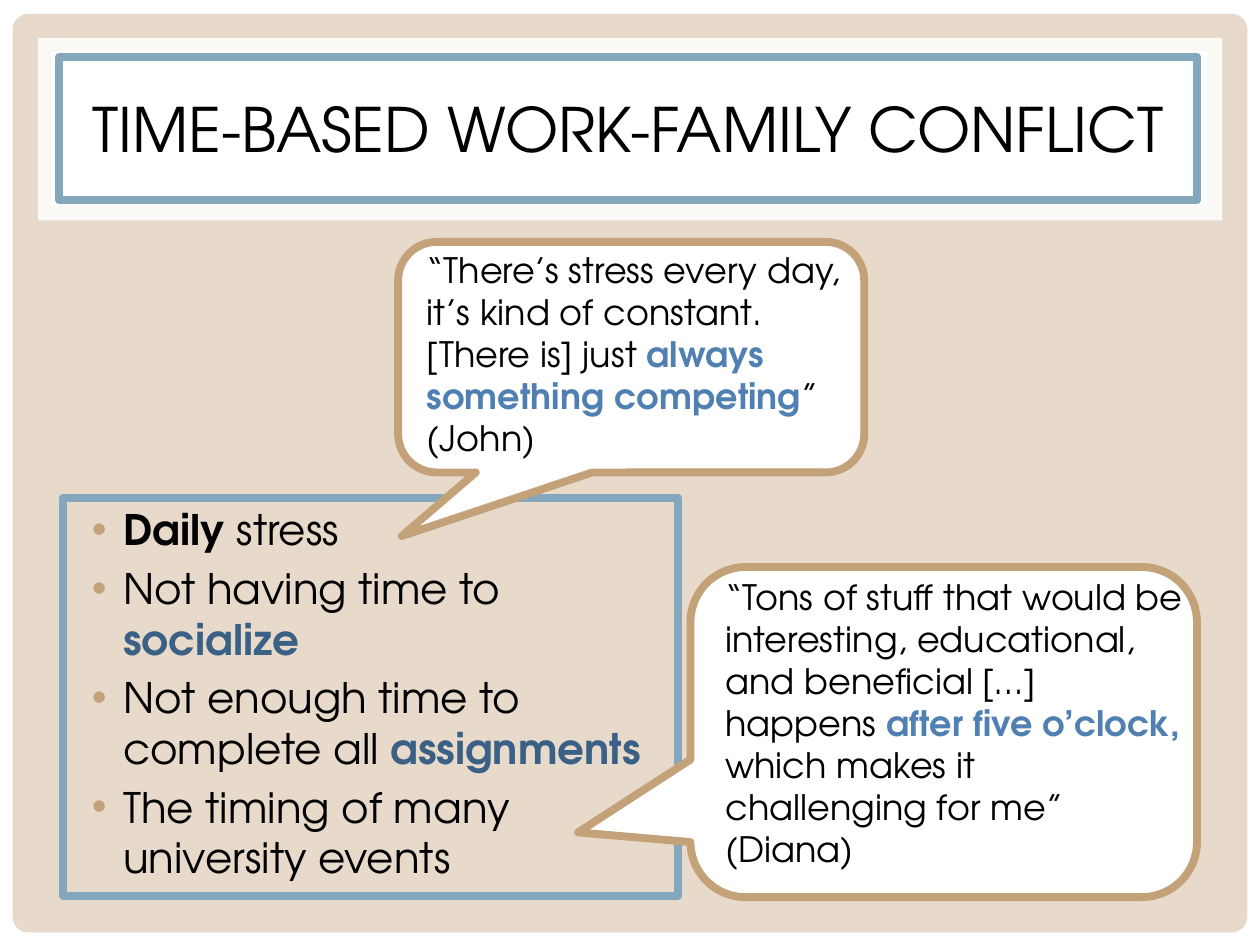
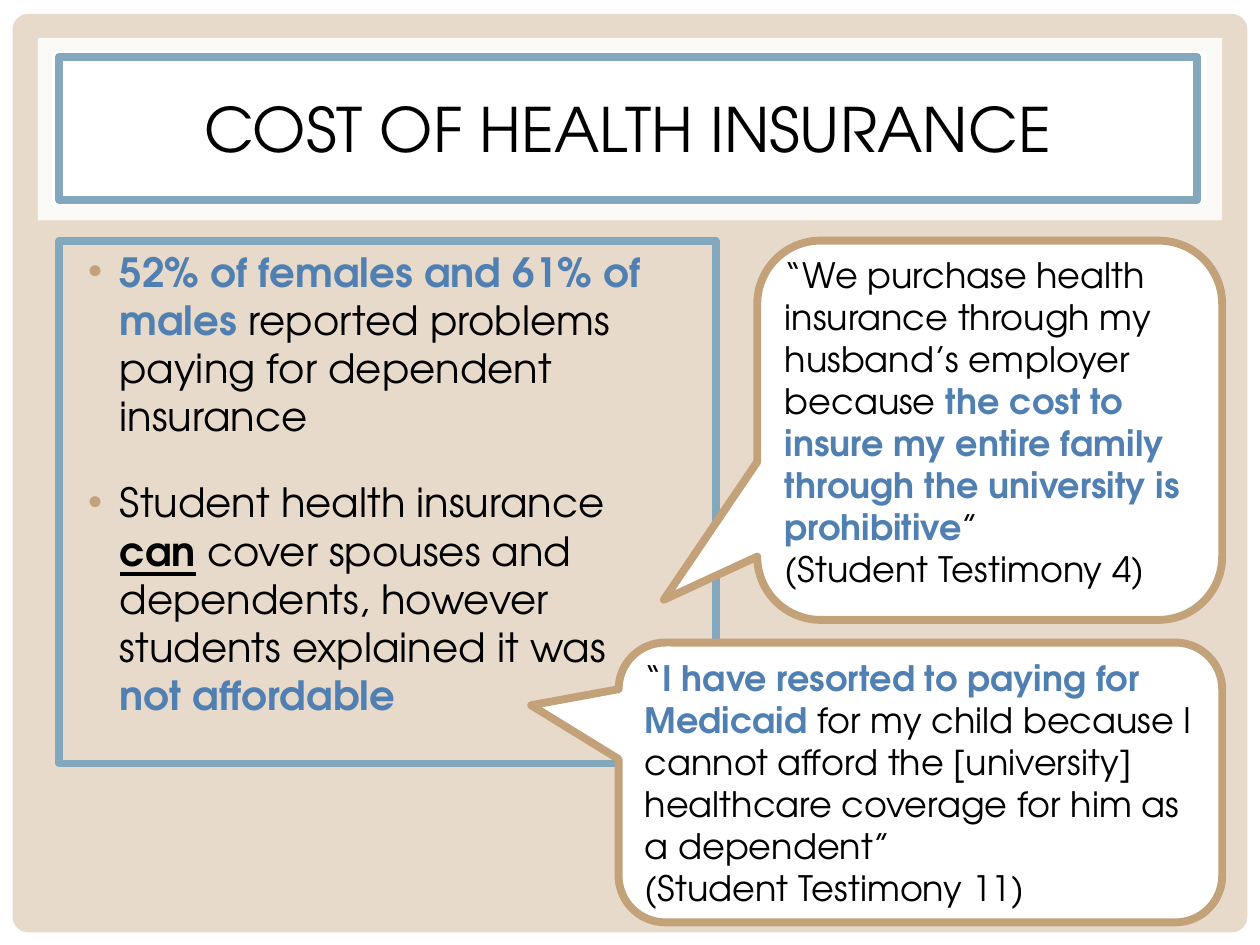
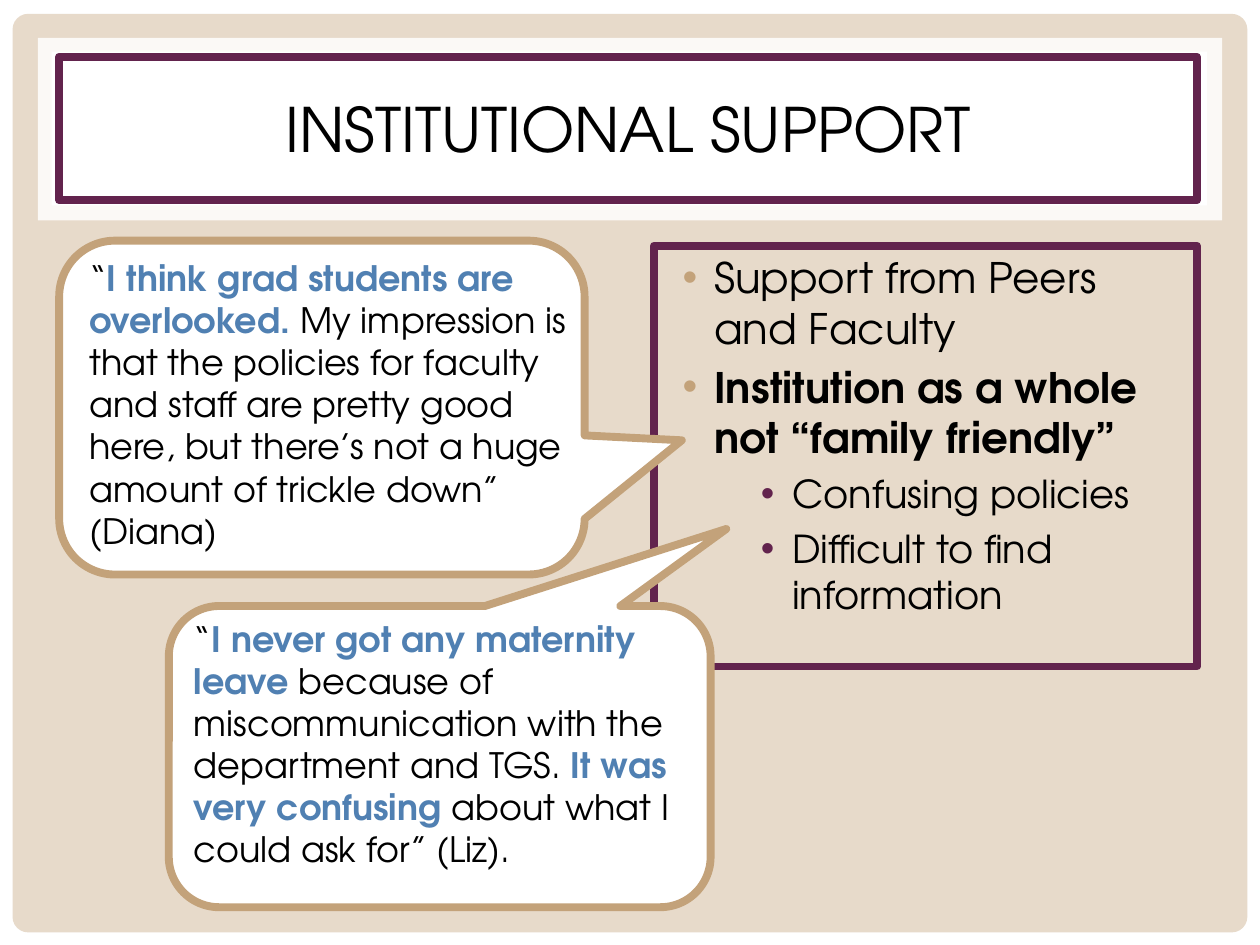
from dataclasses import dataclass

from lxml import etree
from pptx import Presentation
from pptx.dml.color import RGBColor
from pptx.enum import shapes, text
from pptx.oxml import ns
from pptx.util import Inches, Pt


@dataclass(frozen=True)
class Theme:
    font: str = "TeX Gyre Adventor"
    white: str = "FFFFFF"
    black: str = "000000"
    sand: str = "E7DACA"
    band: str = "FBF9F6"
    tan: str = "C3A27A"
    steel: str = "83A8BD"
    plum: str = "62234D"
    blue: str = "5080B2"
    navy: str = "3B6086"
    border: float = 4.5
    title_size: int = 35
    quote_size: int = 20


theme = Theme()
shape_kind = shapes.MSO_SHAPE
middle, top = text.MSO_ANCHOR.MIDDLE, text.MSO_ANCHOR.TOP
left, center = text.PP_ALIGN.LEFT, text.PP_ALIGN.CENTER

styles = {
    "plain": {"color": theme.black, "bold": False},
    "bold": {"color": theme.black, "bold": True},
    "underlined": {"color": theme.black, "bold": True, "underline": True},
    "blue": {"color": theme.blue, "bold": True},
    "navy": {"color": theme.navy, "bold": True},
}

backdrop = [
    (shape_kind.RECTANGLE, (0, 0, 10, 7.5), theme.white, []),
    (shape_kind.ROUNDED_RECTANGLE, (0.1, 0.11, 9.8, 7.29), theme.sand, [0.017]),
    (shape_kind.RECTANGLE, (0.3, 0.3, 9.4, 1.45), theme.band, []),
    (shape_kind.RECTANGLE, (0.41, 0.41, 9.17, 1.22), theme.white, []),
]

slides = [
    {
        "title": "TIME-BASED WORK-FAMILY CONFLICT",
        "accent": theme.steel,
        "panel": (0.5, 3.95, 4.88, 3.16),
        "sizes": (24, 22),
        "gap": 4.8,
        "bullets": [
            (0, [("Daily ", "bold"), ("stress", "plain")]),
            (0, [("Not having time to ", "plain"), ("socialize", "navy")]),
            (0, [("Not enough time to complete all ", "plain"), ("assignments", "navy")]),
            (0, [("The timing of many university events", "plain")]),
        ],
        "quotes": [
            {
                "bubble": (3.16, 1.92, 3.7, 1.83),
                "tail": (-0.492, 0.776),
                "caption": (3.29, 1.92, 3.57, 1.78),
                "spans": [
                    ("“There’s stress every day, it’s kind of constant. [There is] just ", "plain"),
                    ("always something competing", "blue"),
                    ("” (John)", "plain"),
                ],
            },
            {
                "bubble": (5.48, 4.5, 4.02, 2.62),
                "tail": (-0.722, 0.304),
                "caption": (5.66, 4.52, 3.84, 2.46),
                "spans": [
                    ("“Tons of stuff that would be interesting, educational, and beneficial […] happens ", "plain"),
                    ("after five o’clock,", "blue"),
                    (" which makes it challenging for me” (Diana)", "plain"),
                ],
            },
        ],
    },
    {
        "title": "COST OF HEALTH INSURANCE",
        "accent": theme.steel,
        "panel": (0.47, 1.91, 5.21, 4.15),
        "sizes": (23, 22),
        "gap": 21.5,
        "bullets": [
            (0, [
                ("52% of females and 61% of males ", "blue"),
                ("reported problems paying for dependent insurance", "plain"),
            ]),
            (0, [
                ("Student health insurance \n", "plain"),
                ("can", "underlined"),
                (" cover spouses and dependents, however students explained it was \n", "plain"),
                ("not affordable", "blue"),
            ]),
        ],
        "quotes": [
            {
                "bubble": (6.01, 1.91, 3.69, 3.01),
                "tail": (-0.701, 0.447),
                "caption": (6.13, 1.96, 3.58, 2.79),
                "spans": [
                    ("“We purchase health insurance through my husband’s employer because ", "plain"),
                    ("the cost to insure my entire family through the university is prohibitive", "blue"),
                    ("” \n(Student Testimony 4)", "plain"),
                ],
            },
            {
                "bubble": (4.91, 5.1, 4.79, 2.22),
                "tail": (-0.645, -0.276),
                "caption": None,
                "spans": [
                    ("“", "plain"),
                    ("I have resorted to paying for Medicaid ", "blue"),
                    ("for my child because I cannot afford the [university] healthcare coverage "
                     "for him as a dependent” \n(Student Testimony 11)", "plain"),
                ],
            },
        ],
    },
    {
        "title": "INSTITUTIONAL SUPPORT",
        "accent": theme.plum,
        "panel": (5.19, 1.95, 4.31, 3.34),
        "sizes": (24, 22),
        "gap": 4.8,
        "bullets": [
            (0, [("Support from Peers and Faculty", "plain")]),
            (0, [("Institution as a whole not “family friendly”", "bold")]),
            (1, [("Confusing policies", "plain")]),
            (1, [("Difficult to find information", "plain")]),
        ],
        "quotes": [
            {
                "bubble": (1.34, 4.81, 4.3, 2.39),
                "tail": (0.529, -0.756),
                "caption": (1.44, 4.85, 4.18, 2.12),
                "spans": [
                    ("“", "plain"),
                    ("I never got any maternity leave ", "blue"),
                    ("because of miscommunication with the department and TGS.", "plain"),
                    (" It was very confusing ", "blue"),
                    ("about what I could ask for” (Liz).", "plain"),
                ],
            },
            {
                "bubble": (0.47, 1.91, 4.17, 2.65),
                "tail": (0.685, 0.098),
                "caption": (0.61, 1.99, 4.03, 2.44),
                "spans": [
                    ("“", "plain"),
                    ("I think grad students are overlooked. ", "blue"),
                    ("My impression is that the policies for faculty and staff are pretty good here, "
                     "but there’s not a huge amount of trickle down” (Diana)", "plain"),
                ],
            },
        ],
    },
]


def add_box(page, kind, place, fill=None, line=None, adjustments=()):
    box = page.shapes.add_shape(kind, *map(Inches, place))
    box.shadow.inherit = False
    for index, value in enumerate(adjustments):
        box.adjustments[index] = value
    if fill:
        box.fill.solid()
        box.fill.fore_color.rgb = RGBColor.from_string(fill)
    else:
        box.fill.background()
    if line:
        box.line.color.rgb = RGBColor.from_string(line)
        box.line.width = Pt(theme.border)
    else:
        box.line.fill.background()
    return box


def write(box, para, spans, size, anchor=top, align=left):
    box.text_frame.word_wrap = True
    box.text_frame.vertical_anchor = anchor
    para.alignment = align
    for words, style in spans:
        for index, part in enumerate(words.split("\n")):
            if index:
                para.add_line_break()
            if part:
                span = para.add_run()
                span.text = part
                formats = {"name": theme.font, "size": Pt(size), **styles[style]}
                span.font.color.rgb = RGBColor.from_string(formats.pop("color"))
                for name, value in formats.items():
                    setattr(span.font, name, value)


deck = Presentation()
deck.slide_width, deck.slide_height = Inches(10), Inches(7.5)

for content in slides:
    page = deck.slides.add_slide(deck.slide_layouts[6])
    for kind, place, fill, adjustments in backdrop:
        add_box(page, kind, place, fill, adjustments=adjustments)

    accent = content["accent"]
    title = add_box(page, shape_kind.RECTANGLE, (0.47, 0.45, 9.03, 1.14), theme.white, accent)
    write(title, title.text_frame.paragraphs[0], [(content["title"], "plain")],
          theme.title_size, middle, center)

    panel = add_box(page, shape_kind.RECTANGLE, content["panel"], line=accent)
    for index, (level, spans) in enumerate(content["bullets"]):
        para = panel.text_frame.add_paragraph() if index else panel.text_frame.paragraphs[0]
        write(panel, para, spans, content["sizes"][level])
        para.level = level
        para.space_before = Pt(content["gap"] if index else 0)
        properties = para._p.get_or_add_pPr()
        properties.set("marL", str(Inches((0.38, 1)[level])))
        properties.set("indent", str(Inches(-0.25)))
        bullet_color = etree.SubElement(properties, ns.qn("a:buClr"))
        etree.SubElement(bullet_color, ns.qn("a:srgbClr"), val=(theme.tan, accent)[level])
        etree.SubElement(properties, ns.qn("a:buFont"), typeface="Arial")
        etree.SubElement(properties, ns.qn("a:buChar"), char="•")

    for quote in content["quotes"]:
        bubble = add_box(page, shape_kind.ROUNDED_RECTANGULAR_CALLOUT, quote["bubble"],
                         theme.white, theme.tan, (*quote["tail"], 0.167))
        caption, anchor = bubble, middle
        if quote["caption"]:
            caption = page.shapes.add_textbox(*map(Inches, quote["caption"]))
            anchor = top
        write(caption, caption.text_frame.paragraphs[0], quote["spans"], theme.quote_size, anchor)

deck.save("out.pptx")
